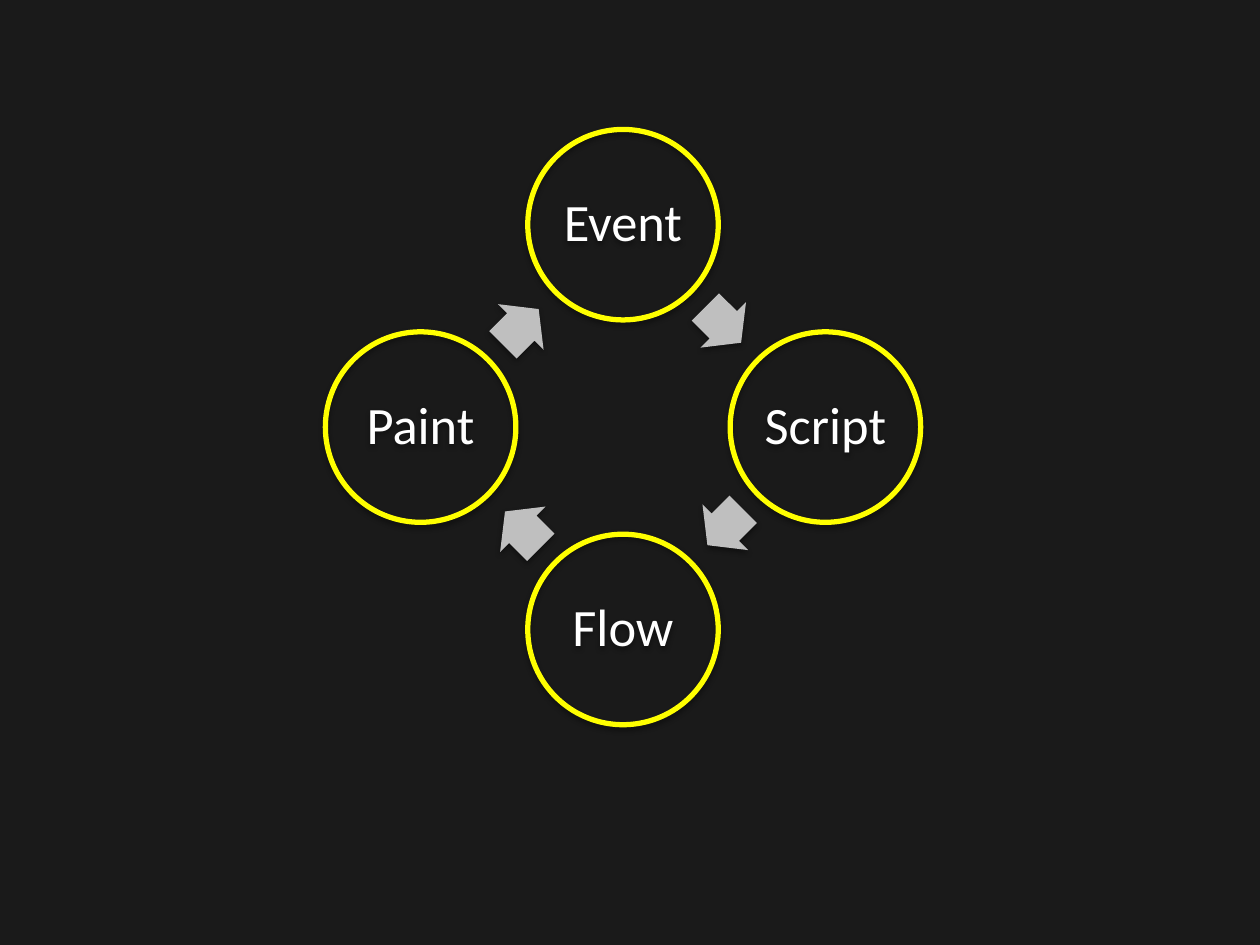
from math import cos, radians, sin

from lxml.etree import SubElement
from pptx import Presentation
from pptx.dml.color import RGBColor as Rgb
from pptx.enum.shapes import MSO_SHAPE as Kind
from pptx.enum.text import MSO_ANCHOR as Anchor, PP_ALIGN as Align
from pptx.oxml.ns import qn
from pptx.util import Cm, Pt

STEPS = ["Event", "Script", "Flow", "Paint"]
HEX = {"back": "1A1A1A", "ring": "FFFF00", "arrow": "BFBFBF",
       "text": "FFFFFF", "shade": "000000"}
MID = (12.56, 8.61)        # centre of the cycle, cm
REACH = 4.08               # centre of the cycle to centre of a ring
RING = (3.84, 3.84)
ARROW = (1.02, 1.3)
LAG = 0.03                 # arrows sit slightly behind the midpoint
INSET = Cm(0.1)
FRAME = {"vertical_anchor": Anchor.MIDDLE, "word_wrap": False,
         "margin_left": INSET, "margin_right": INSET,
         "margin_top": INSET, "margin_bottom": INSET}
PARA = {"alignment": Align.CENTER, "line_spacing": 0.9}
FONT = {"name": "Calibri", "size": Pt(30)}


def color(name):
    """Return a palette colour."""
    return Rgb.from_string(HEX[name])


def put(target, values):
    """Set each format value on the target."""
    for key, value in values.items():
        setattr(target, key, value)


def polar(angle, reach):
    """Return the point at an angle and distance from the cycle centre."""
    turn = radians(angle)
    return MID[0] + reach * cos(turn), MID[1] + reach * sin(turn)


def shade(shape):
    """Give a shape a soft shadow straight below it."""
    shape.shadow.inherit = False
    effects = shape._element.spPr.find(qn("a:effectLst"))
    outer = SubElement(effects, qn("a:outerShdw"), blurRad=str(Pt(3.1)),
                       dist=str(Pt(1.6)), dir="5400000", rotWithShape="0")
    tint = SubElement(outer, qn("a:srgbClr"), val=HEX["shade"])
    SubElement(tint, qn("a:alpha"), val="38000")


def place(group, kind, mid, size):
    """Add a shaded shape centred on a point."""
    (x, y), (w, h) = mid, size
    shape = group.shapes.add_shape(kind, Cm(x - w / 2), Cm(y - h / 2),
                                   Cm(w), Cm(h))
    shade(shape)
    return shape


def add_ring(group, label, angle):
    """Add one labelled ring of the cycle."""
    ring = place(group, Kind.OVAL, polar(angle, REACH), RING)
    ring.fill.background()
    ring.line.color.rgb = color("ring")
    ring.line.width = Pt(3)
    put(ring.text_frame, FRAME)
    para = ring.text_frame.paragraphs[0]
    put(para, PARA)
    run = para.add_run()
    run.text = label
    put(run.font, FONT)
    run.font.color.rgb = color("text")


def add_arrow(group, angle):
    """Add the arrow midway between two rings, along the cycle."""
    x, y = polar(angle, REACH * cos(radians(45)))
    head = angle + 90
    turn = radians(head)
    mid = x - LAG * cos(turn), y - LAG * sin(turn)
    arrow = place(group, Kind.RIGHT_ARROW, mid, ARROW)
    arrow.rotation = head % 360
    arrow.adjustments[0] = 0.6
    arrow.adjustments[1] = 0.5
    arrow.fill.solid()
    arrow.fill.fore_color.rgb = color("arrow")
    arrow.line.fill.background()


deck = Presentation()
put(deck, {"slide_width": Cm(25.4), "slide_height": Cm(19.05)})
slide = deck.slides.add_slide(deck.slide_layouts[6])
slide.background.fill.solid()
slide.background.fill.fore_color.rgb = color("back")

cycle = slide.shapes.add_group_shape()
pace = 360 / len(STEPS)
for i, step in enumerate(STEPS):
    angle = i * pace - 90
    add_ring(cycle, step, angle)
    add_arrow(cycle, angle + pace / 2)

deck.save("out.pptx")
